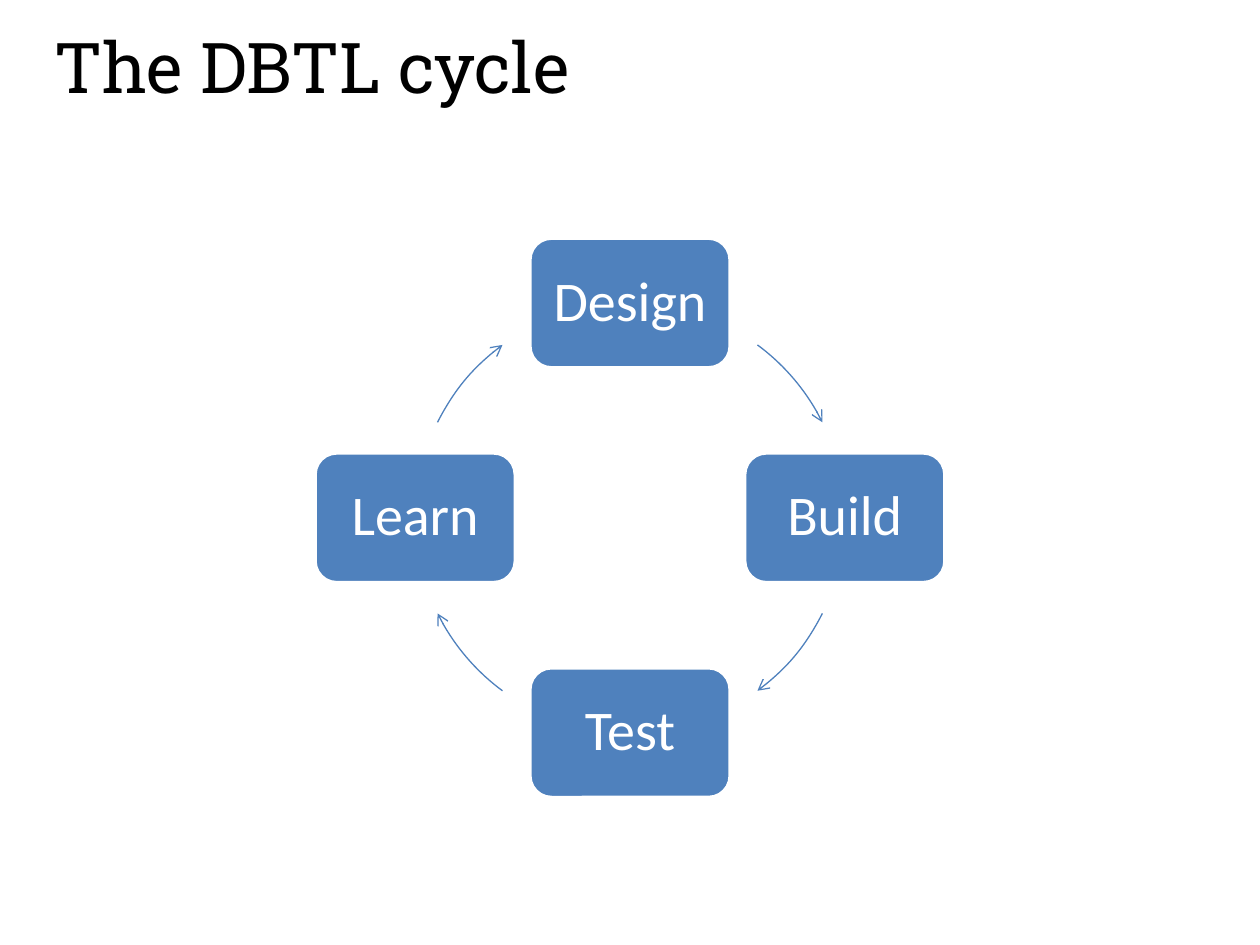
import math
from dataclasses import dataclass

import pptx
import pptx.dml.color
import pptx.enum.shapes
import pptx.enum.text
import pptx.oxml
import pptx.oxml.ns
import pptx.slide
import pptx.util

Inches = pptx.util.Inches
Pt = pptx.util.Pt
RGBColor = pptx.dml.color.RGBColor
MSO_SHAPE = pptx.enum.shapes.MSO_SHAPE
MSO_ANCHOR = pptx.enum.text.MSO_ANCHOR
PP_ALIGN = pptx.enum.text.PP_ALIGN

BLUE = RGBColor(0x4F, 0x81, 0xBD)
WHITE = RGBColor(0xFF, 0xFF, 0xFF)
BLACK = RGBColor(0x00, 0x00, 0x00)

CENTER_X, CENTER_Y, RADIUS = 5.0, 4.11, 1.705
STAGE_WIDTH, STAGE_HEIGHT = 1.59, 1.03
ARROW_SWEEP = 27.2


@dataclass(frozen=True)
class Stage:
    name: str
    angle: float  # degrees clockwise from the right
    arrow_gap: float  # degrees from the stage to its outgoing arrow


STAGES = [
    Stage("Design", 270, 36.4),
    Stage("Build", 0, 26.4),
    Stage("Test", 90, 36.4),
    Stage("Learn", 180, 26.4),
]


def add_title(slide: pptx.slide.Slide, wording: str) -> None:
    title = slide.shapes.title
    title.left, title.top = Inches(0.33), Inches(0.14)
    title.width, title.height = Inches(9.42), Inches(0.77)
    frame = title.text_frame
    frame.text = wording
    frame.vertical_anchor = MSO_ANCHOR.TOP
    frame.auto_size = pptx.enum.text.MSO_AUTO_SIZE.SHAPE_TO_FIT_TEXT
    line = frame.paragraphs[0]
    line.alignment = PP_ALIGN.LEFT
    font = line.runs[0].font
    font.name, font.size = "Roboto Slab", Pt(40)
    font.color.rgb = BLACK


def add_stage(slide: pptx.slide.Slide, stage: Stage) -> None:
    angle = math.radians(stage.angle)
    box = slide.shapes.add_shape(
        MSO_SHAPE.ROUNDED_RECTANGLE,
        Inches(CENTER_X + RADIUS * math.cos(angle) - STAGE_WIDTH / 2),
        Inches(CENTER_Y + RADIUS * math.sin(angle) - STAGE_HEIGHT / 2),
        Inches(STAGE_WIDTH),
        Inches(STAGE_HEIGHT),
    )
    box.shadow.inherit = False
    box.fill.solid()
    box.fill.fore_color.rgb = BLUE
    box.line.color.rgb = WHITE
    box.line.width = Pt(2)
    frame = box.text_frame
    frame.text = stage.name
    frame.word_wrap = True
    frame.vertical_anchor = MSO_ANCHOR.MIDDLE
    frame.margin_left = frame.margin_right = Inches(0.13)
    frame.margin_top = frame.margin_bottom = Inches(0.13)
    label = frame.paragraphs[0]
    label.alignment = PP_ALIGN.CENTER
    label.line_spacing = 0.9
    font = label.runs[0].font
    font.name, font.size = "Calibri", Pt(32)
    font.color.rgb = WHITE


def add_outgoing_arrow(slide: pptx.slide.Slide, stage: Stage) -> None:
    """Draw the curved arrow from a stage to the next one clockwise."""
    arrow = slide.shapes.add_shape(
        MSO_SHAPE.ARC,
        Inches(CENTER_X - RADIUS),
        Inches(CENTER_Y - RADIUS),
        Inches(2 * RADIUS),
        Inches(2 * RADIUS),
    )
    start = stage.angle + stage.arrow_gap
    # Angles are stored in 1/60000 degree, adjustments in units of 100000.
    arrow.adjustments[0] = start % 360 * 0.6
    arrow.adjustments[1] = (start + ARROW_SWEEP) % 360 * 0.6
    arrow.shadow.inherit = False
    arrow.fill.background()
    arrow.line.color.rgb = BLUE
    arrow.line.width = Pt(0.75)
    head = pptx.oxml.parse_xml(
        f'<a:tailEnd {pptx.oxml.ns.nsdecls("a")} type="arrow"/>'
    )
    arrow.line._get_or_add_ln().append(head)


def main() -> None:
    deck = pptx.Presentation()
    deck.slide_width, deck.slide_height = Inches(10), Inches(7.5)
    slide = deck.slides.add_slide(deck.slide_layouts.get_by_name("Title Only"))
    add_title(slide, "The DBTL cycle")
    for stage in STAGES:
        add_stage(slide, stage)
        add_outgoing_arrow(slide, stage)
    deck.save("out.pptx")


if __name__ == "__main__":
    main()
